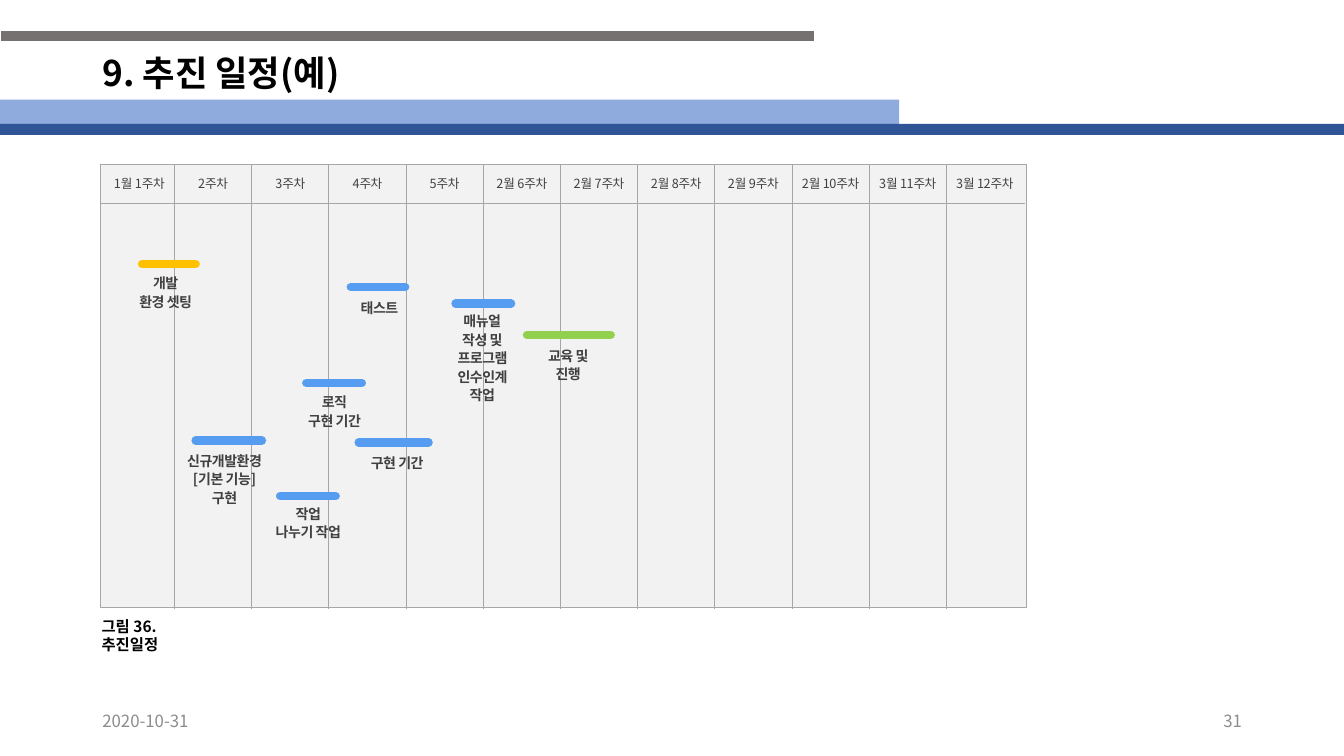
from lxml.etree import SubElement
from pptx import Presentation
from pptx.dml.color import RGBColor
from pptx.enum.shapes import MSO_CONNECTOR, MSO_SHAPE
from pptx.enum.text import MSO_ANCHOR, PP_ALIGN
from pptx.oxml.ns import qn
from pptx.util import Cm, Pt

FONT = "Noto Sans CJK KR"
HUES = {
    "black": "000000", "white": "FFFFFF", "text": "404040", "foot": "8C8C8C",
    "bar": "767171", "pale": "8FAADC", "navy": "2F5597",
    "panel": "F2F2F2", "grid": "A6A6A6",
    "gold": "FFC000", "blue": "569CF0", "green": "92D050",
}


def write(shape, text, size=10, hue="text", bold=False, align=PP_ALIGN.LEFT,
          anchor=MSO_ANCHOR.TOP, wrap=True, lead=None, track=None):
    frame = shape.text_frame
    frame.word_wrap = wrap
    frame.vertical_anchor = anchor
    frame.text = text
    for para in frame.paragraphs:
        para.alignment = align
        para.line_spacing = lead
        for run in para.runs:
            font = run.font
            font.name, font.size, font.bold = FONT, Pt(size), bold
            font.color.rgb = RGBColor.from_string(HUES[hue])
            props = run._r.get_or_add_rPr()
            SubElement(props, qn("a:ea"), typeface=FONT)
            if track:
                props.set("spc", str(track))


def rule(x1, y1, x2, y2, hue="grid", width=0.75, cap="flat"):
    line = slide.shapes.add_connector(
        MSO_CONNECTOR.STRAIGHT, Cm(x1), Cm(y1), Cm(x2), Cm(y2))
    line.line.color.rgb = RGBColor.from_string(HUES[hue])
    line.line.width = Pt(width)
    line.line._get_or_add_ln().set("cap", cap)
    SubElement(line._element.spPr, qn("a:effectLst"))


deck = Presentation()
deck.slide_width, deck.slide_height = Cm(33.87), Cm(19.05)
slide = deck.slides.add_slide(deck.slide_layouts[6])

LEFT, TOP, RIGHT, BASE = 2.54, 4.14, 25.83, 15.34
HEAD, STEP = 0.99, 1.945
WEEKS = ["1월 1주차", "2주차", "3주차", "4주차", "5주차", "2월 6주차",
         "2월 7주차", "2월 8주차", "2월 9주차", "2월 10주차",
         "3월 11주차", "3월 12주차"]

blocks = [
    (0, 0.76, 20.55, 0.3, "bar", "white", 1.5, ""),
    (0, 2.51, 22.66, 0.76, "pale", None, 0, ""),
    (0, 3.12, 33.87, 0.28, "navy", None, 0, ""),
    (LEFT, TOP, 23.32, 11.18, "panel", "grid", 0.75, ""),
]
for i, week in enumerate(WEEKS):
    x, wide = (4.42 + STEP * (i - 1), 1.9) if i else (2.62, 1.78)
    blocks.append((x, TOP, wide, HEAD, "panel", None, 0, week))

for x, y, wide, high, fill, edge, width, text in blocks:
    box = slide.shapes.add_shape(
        MSO_SHAPE.RECTANGLE, Cm(x), Cm(y), Cm(wide), Cm(high))
    box.shadow.inherit = False
    box.fill.solid()
    box.fill.fore_color.rgb = RGBColor.from_string(HUES[fill])
    if edge:
        box.line.color.rgb = RGBColor.from_string(HUES[edge])
        box.line.width = Pt(width)
    else:
        box.line.fill.background()
    if text:
        write(box, text, size=9, align=PP_ALIGN.CENTER,
              anchor=MSO_ANCHOR.MIDDLE, wrap=False, track=-30)

for y in (TOP, TOP + HEAD):
    rule(LEFT, y, RIGHT, y, width=0.5)
for i in range(len(WEEKS) - 1):
    x = 4.4 + STEP * i
    rule(x, TOP, x, BASE)

TASKS = [
    ("개발\n환경 셋팅", 3.07, 6.76, 2.21, 1.17, 3.58, 4.93, 6.65, "gold"),
    ("신규개발환경\n[기본 기능]\n구현", 4.39, 11.23, 2.54, 1.63, 4.93, 6.6, 11.1, "blue"),
    ("로직\n구현 기간", 7.44, 9.75, 1.98, 1.17, 7.72, 9.12, 9.65, "blue"),
    ("태스트", 8.56, 7.37, 2.01, 0.69, 8.84, 10.21, 7.23, "blue"),
    ("매뉴얼\n작성 및\n프로그램 인수인계작업", 11.15, 7.72, 2.01, 2.57, 11.48, 12.88, 7.65, "blue"),
    ("작업\n나누기 작업", 6.35, 12.57, 2.84, 1.17, 7.06, 8.46, 12.5, "blue"),
    ("구현 기간", 8.74, 11.28, 2.54, 0.69, 9.04, 10.8, 11.15, "blue"),
    ("교육 및\n진행", 13, 8.59, 2.64, 1.17, 13.28, 15.39, 8.44, "green"),
]
for text, x, y, wide, high, start, end, level, hue in TASKS:
    label = slide.shapes.add_textbox(Cm(x), Cm(y), Cm(wide), Cm(high))
    write(label, text, bold=True, align=PP_ALIGN.CENTER, lead=1.1, track=-30)
    rule(start, level, end, level, hue=hue, width=6, cap="rnd")

foot = dict(size=12, hue="foot", anchor=MSO_ANCHOR.MIDDLE)
NOTES = [
    ("9. 추진 일정(예)", 2.33, 1.22, 29.21, 1.35,
     dict(size=25.2, hue="black", bold=True, anchor=MSO_ANCHOR.MIDDLE, lead=0.9)),
    ("그림 36. 추진일정", 2.31, 15.42, 2.5, 0.74,
     dict(size=11, hue="black", bold=True)),
    ("2020-10-31", 2.33, 17.65, 7.62, 1.02, foot),
    ("31", 23.93, 17.65, 7.62, 1.02, dict(foot, align=PP_ALIGN.RIGHT)),
]
for text, x, y, wide, high, look in NOTES:
    label = slide.shapes.add_textbox(Cm(x), Cm(y), Cm(wide), Cm(high))
    write(label, text, **look)

deck.save("out.pptx")
